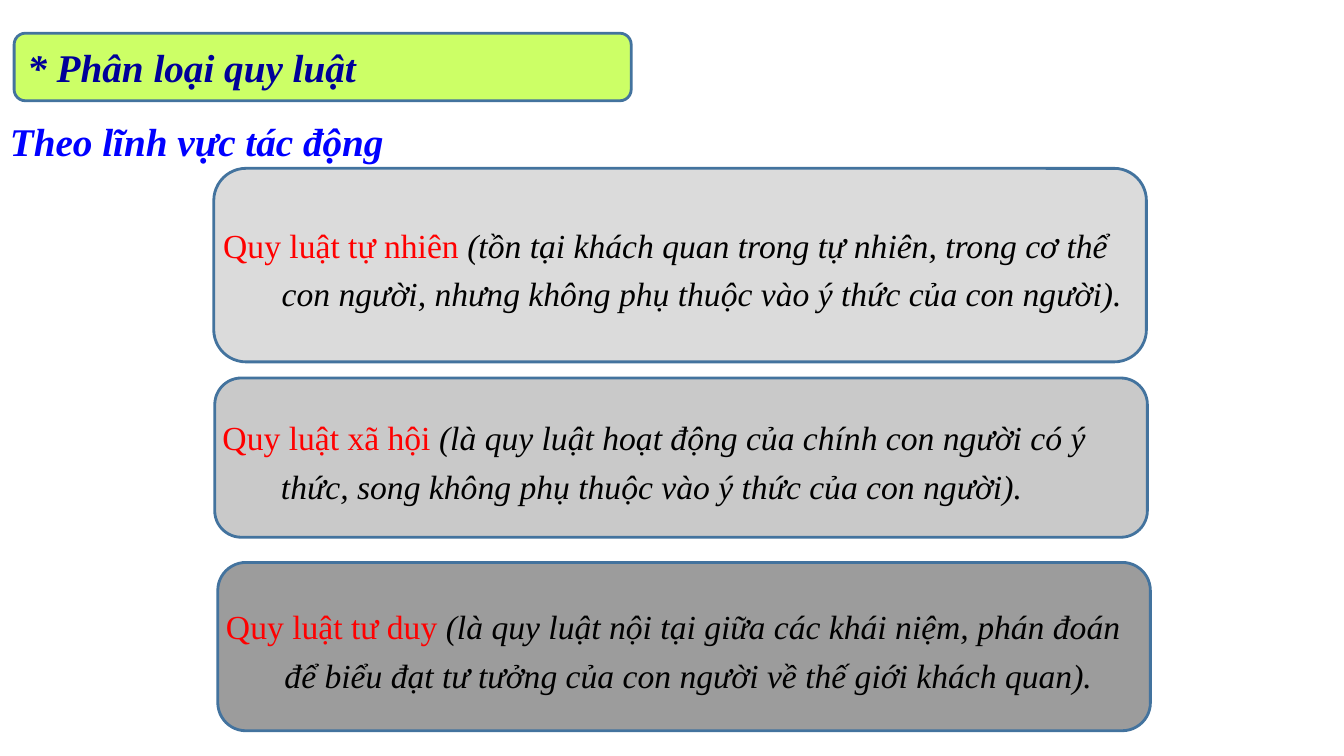
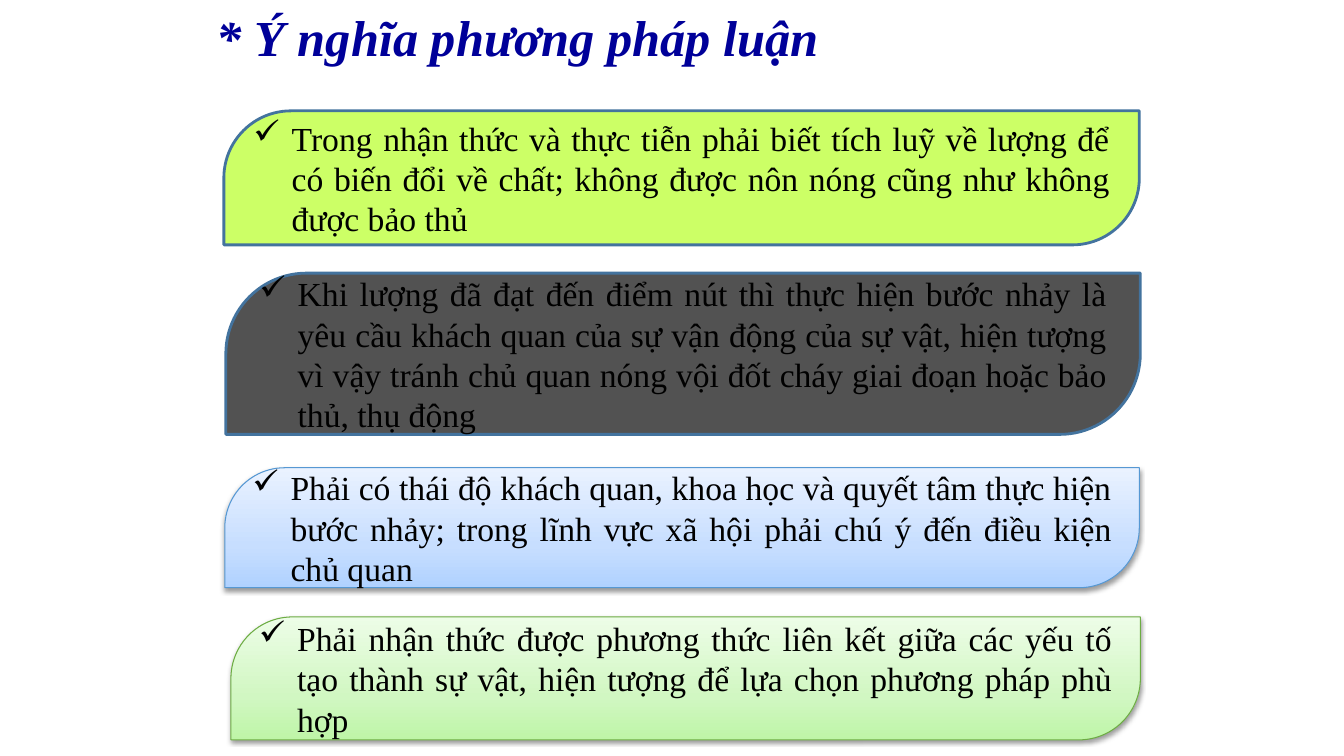
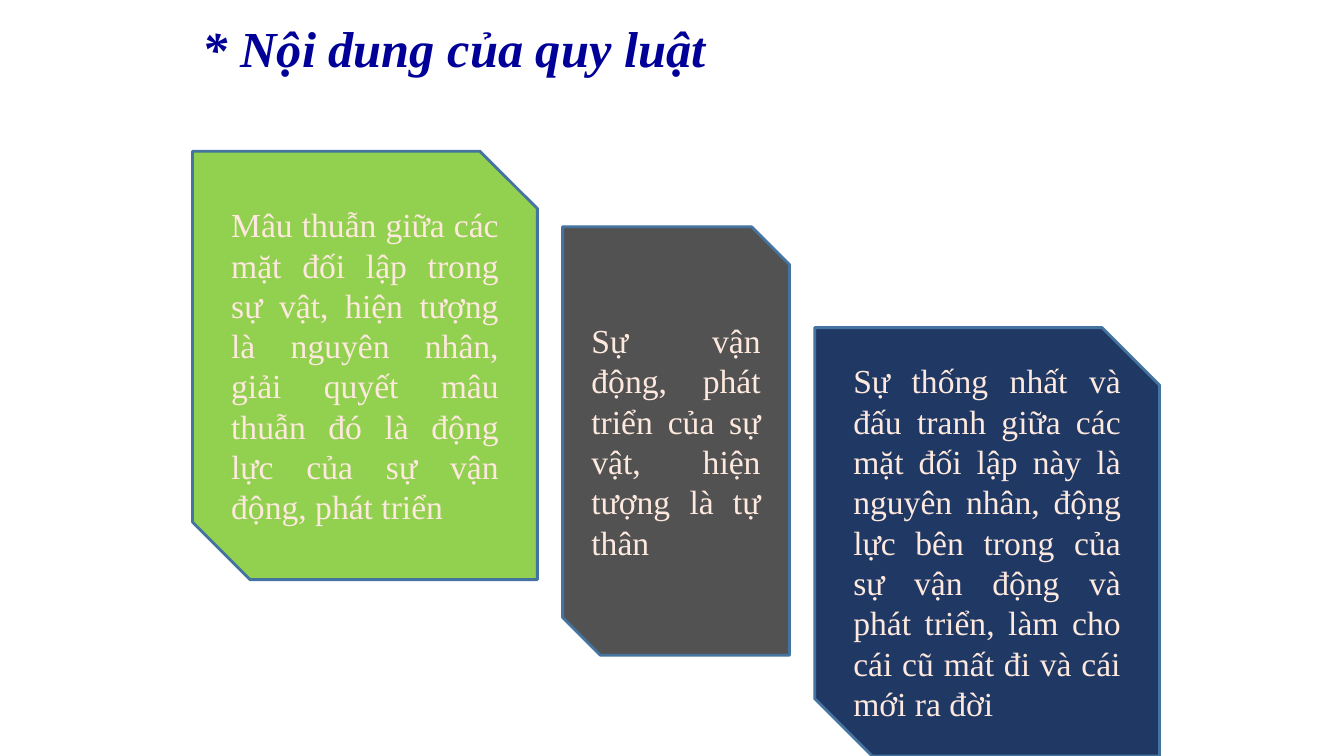
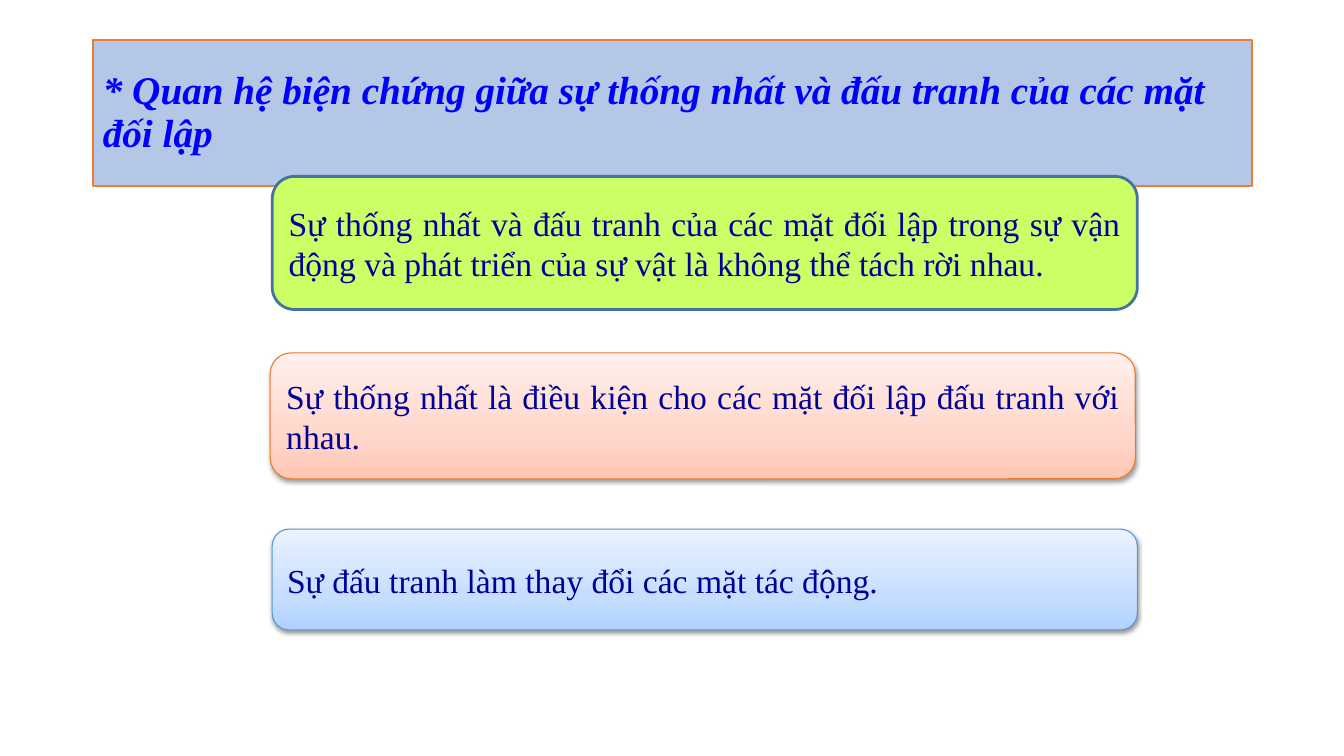
"""Build four slides on the laws of dialectics."""
from copy import deepcopy

from pptx import Presentation
from pptx import util as u
from pptx.dml import color
from pptx.enum import shapes, text
from pptx.oxml import ns, xmlchemy

PX = 9144
FONT = "Times New Roman"
NAVY, BLUE, BLACK, RED, CREAM = "000099", "0000FF", "000000", "FF0000", "FEE9DE"
LIME, SLATE, STEEL = "CCFF66", "525252", "43739E"
SKY = ("B0D2FF", "C7DEFF", "EAF2FF")
MINT = ("BEF5A7", "D1F7C2", "EDFDE7")
PEACH = ("FFC7B6", "FFD7CB", "FFF0EB")
SHAPE, ALIGN = shapes.MSO_SHAPE, text.PP_ALIGN
hue = color.RGBColor.from_string


def format_span(span, size, ink, bold=False, italic=False):
    """Set the font of one run."""
    span.font.name, span.font.size = FONT, u.Pt(size)
    span.font.bold, span.font.italic = bold, italic
    span.font.color.rgb = hue(ink)


def add_panel(page, kind, place, fill, line, words, ink, align, space):
    """Add a shape with 24 pt text; three fill colours mean a shaded, raised panel."""
    panel = page.shapes.add_shape(kind, *(n * PX for n in place))
    panel.shadow.inherit = False
    panel.line.color.rgb = hue(line)
    if isinstance(fill, tuple):
        panel.line.width = u.Pt(0.75)
        panel.fill.gradient()
        panel.fill.gradient_angle = 90
        props = panel._element.spPr
        stops = props.find(".//" + ns.qn("a:gsLst"))
        stops.insert(1, deepcopy(stops[0]))
        for stop, position, shade in zip(panel.fill.gradient_stops, (0, 0.35, 1), fill):
            stop.position, stop.color.rgb = position, hue(shade)
        effects = props.find(ns.qn("a:effectLst"))
        shadow = xmlchemy.OxmlElement("a:outerShdw")
        for key, value in (("blurRad", u.Pt(3.1)), ("dist", u.Pt(1.6)), ("dir", 5400000)):
            shadow.set(key, str(int(value)))
        shadow.set("rotWithShape", "0")
        tint = xmlchemy.OxmlElement("a:srgbClr")
        tint.set("val", BLACK)
        alpha = xmlchemy.OxmlElement("a:alpha")
        alpha.set("val", "38000")
        tint.append(alpha)
        shadow.append(tint)
        effects.append(shadow)
    else:
        panel.line.width = u.Pt(2)
        panel.fill.solid()
        panel.fill.fore_color.rgb = hue(fill)
    frame = panel.text_frame
    frame.text = words
    frame.word_wrap = True
    frame.vertical_anchor = text.MSO_ANCHOR.MIDDLE
    para = frame.paragraphs[0]
    para.alignment = align
    para.space_before, para.space_after = (u.Pt(n) for n in space)
    format_span(para.runs[0], 24, ink)
    return panel


deck = Presentation()
deck.slide_width, deck.slide_height = u.Inches(13.33), 750 * PX

page = deck.slides.add_slide(deck.slide_layouts[6])
bar = add_panel(page, SHAPE.ROUNDED_RECTANGLE, (14, 33, 612, 67), LIME, STEEL,
                "* Phân loại quy luật", NAVY, ALIGN.LEFT, (5.6, 0))
format_span(bar.text_frame.paragraphs[0].runs[0], 28, NAVY, True, True)

box = page.shapes.add_textbox(0, 120 * PX, 395 * PX, 48 * PX)
box.text_frame.word_wrap = False
box.text_frame.text = "Theo lĩnh vực tác động"
para = box.text_frame.paragraphs[0]
para.line_spacing = 0.8
format_span(para.runs[0], 28, BLUE, True, True)

laws = [
    ((212, 167, 925, 192), "DBDBDB", "Quy luật tự nhiên ",
     "(tồn tại khách quan trong tự nhiên, trong cơ thể con người, "
     "nhưng không phụ thuộc vào ý thức của con người)."),
    ((213, 375, 925, 158), "C9C9C9", "Quy luật xã hội ",
     "(là quy luật hoạt động của chính con người có ý thức, "
     "song không phụ thuộc vào ý thức của con người)."),
    ((216, 558, 925, 167), "7C7C7C", "Quy luật tư duy ",
     "(là quy luật nội tại giữa các khái niệm, phán đoán "
     "để biểu đạt tư tưởng của con người về thế giới khách quan)."),
]
for place, fill, name, meaning in laws:
    panel = add_panel(page, SHAPE.ROUNDED_RECTANGLE, place, fill, STEEL,
                      name, RED, ALIGN.LEFT, (6, 6))
    frame = panel.text_frame
    frame.margin_left = frame.margin_right = frame.margin_top = frame.margin_bottom = 0
    para = frame.paragraphs[0]
    para.line_spacing = 1.2
    para._p.get_or_add_pPr().set("marL", str(58 * PX))
    para._p.get_or_add_pPr().set("indent", str(-58 * PX))
    span = para.add_run()
    span.text = meaning
    format_span(span, 24, BLACK, italic=True)
alpha = xmlchemy.OxmlElement("a:alpha")
alpha.set("val", "75000")
panel._element.spPr.find(ns.qn("a:solidFill"))[0].append(alpha)

titles = [
    ("* Ý nghĩa phương pháp luận", (205, -11, 925, 101), 36, NAVY),
    ("* Nội dung của quy luật", (191, 0, 892, 101), 36, NAVY),
    ("* Quan hệ biện chứng giữa sự thống nhất và đấu tranh của các mặt đối lập",
     (92, 40, 1150, 145), 28, BLUE),
]
pages = []
for words, place, size, ink in titles:
    page = deck.slides.add_slide(deck.slide_layouts[5])
    title = page.shapes.title
    title.left, title.top, title.width, title.height = (n * PX for n in place)
    frame = title.text_frame
    frame.text = words
    frame.auto_size = text.MSO_AUTO_SIZE.NONE
    frame.vertical_anchor = text.MSO_ANCHOR.MIDDLE
    para = frame.paragraphs[0]
    para.alignment, para.line_spacing = ALIGN.LEFT, 0.9
    format_span(para.runs[0], size, ink, True, True)
    pages.append(page)
method_page, content_page, relation_page = pages

lessons = [
    ((222, 110, 908, 133), LIME, STEEL,
     "Trong nhận thức và thực tiễn phải biết tích luỹ về lượng để có biến đổi "
     "về chất; không được nôn nóng cũng như không được bảo thủ"),
    ((224, 271, 907, 160), SLATE, STEEL,
     "Khi lượng đã đạt đến điểm nút thì thực hiện bước nhảy là yêu cầu khách quan "
     "của sự vận động của sự vật, hiện tượng vì vậy tránh chủ quan nóng vội "
     "đốt cháy giai đoạn hoặc bảo thủ, thụ động"),
    ((223, 464, 907, 119), SKY, "5698D3",
     "Phải có thái độ khách quan, khoa học và quyết tâm thực hiện bước nhảy; "
     "trong lĩnh vực xã hội phải chú ý đến điều kiện chủ quan"),
    ((229, 612, 902, 122), MINT, "6DAC43",
     "Phải nhận thức được phương thức liên kết giữa các yếu tố tạo thành sự vật, "
     "hiện tượng để lựa chọn phương pháp phù hợp"),
]
for place, fill, line, words in lessons:
    panel = add_panel(method_page, SHAPE.ROUND_2_DIAG_RECTANGLE, place, fill, line,
                      words, BLACK, ALIGN.JUSTIFY, (4.8, 0))
    panel.adjustments[0] = 0.5
    props = panel.text_frame.paragraphs[0]._p.get_or_add_pPr()
    props.set("marL", str(38 * PX))
    props.set("indent", str(-38 * PX))
    bullet = xmlchemy.OxmlElement("a:buChar")
    bullet.set("char", "✓")
    props.append(bullet)

points = [
    ((191, 150, 342, 425), "92D050",
     "Mâu thuẫn giữa các mặt đối lập trong sự vật, hiện tượng là nguyên nhân, "
     "giải quyết mâu thuẫn đó là động lực của sự vận động, phát triển"),
    ((558, 225, 225, 425), SLATE,
     "Sự vận động, phát triển của sự vật, hiện tượng là tự thân"),
    ((808, 325, 342, 425), "203864",
     "Sự thống nhất và đấu tranh giữa các mặt đối lập này là nguyên nhân, động lực "
     "bên trong của sự vận động và phát triển, làm cho cái cũ mất đi và cái mới ra đời"),
]
for place, fill, words in points:
    add_panel(content_page, SHAPE.SNIP_2_DIAG_RECTANGLE, place, fill, STEEL,
              words, CREAM, ALIGN.JUSTIFY, (0, 0))

banner = relation_page.shapes.title
banner.fill.solid()
banner.fill.fore_color.rgb = hue("B4C7E7")
banner.line.color.rgb = hue("ED7D31")
banner.line.width = u.Pt(1.5)
relations = [
    ((270, 175, 858, 132), LIME, STEEL,
     "Sự thống nhất và đấu tranh của các mặt đối lập trong sự vận động "
     "và phát triển của sự vật là không thể tách rời nhau."),
    ((268, 350, 858, 125), PEACH, "EC792B",
     "Sự thống nhất là điều kiện cho các mặt đối lập đấu tranh với nhau."),
    ((270, 525, 858, 100), SKY, "5698D3",
     "Sự đấu tranh làm thay đổi các mặt tác động."),
]
for place, fill, line, words in relations:
    add_panel(relation_page, SHAPE.ROUNDED_RECTANGLE, place, fill, line,
              words, NAVY, ALIGN.JUSTIFY, (7.2, 7.2))

deck.save("out.pptx")
